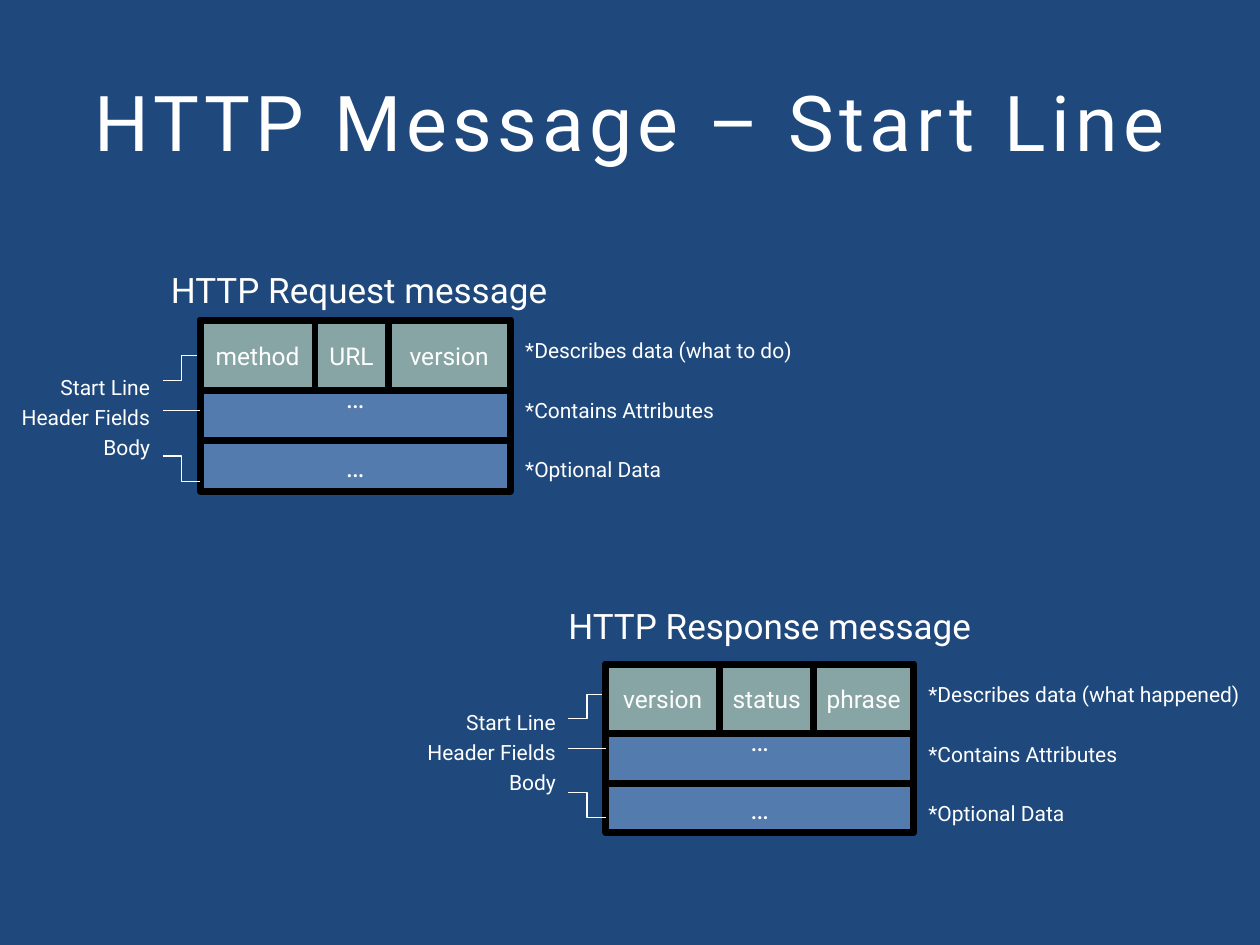
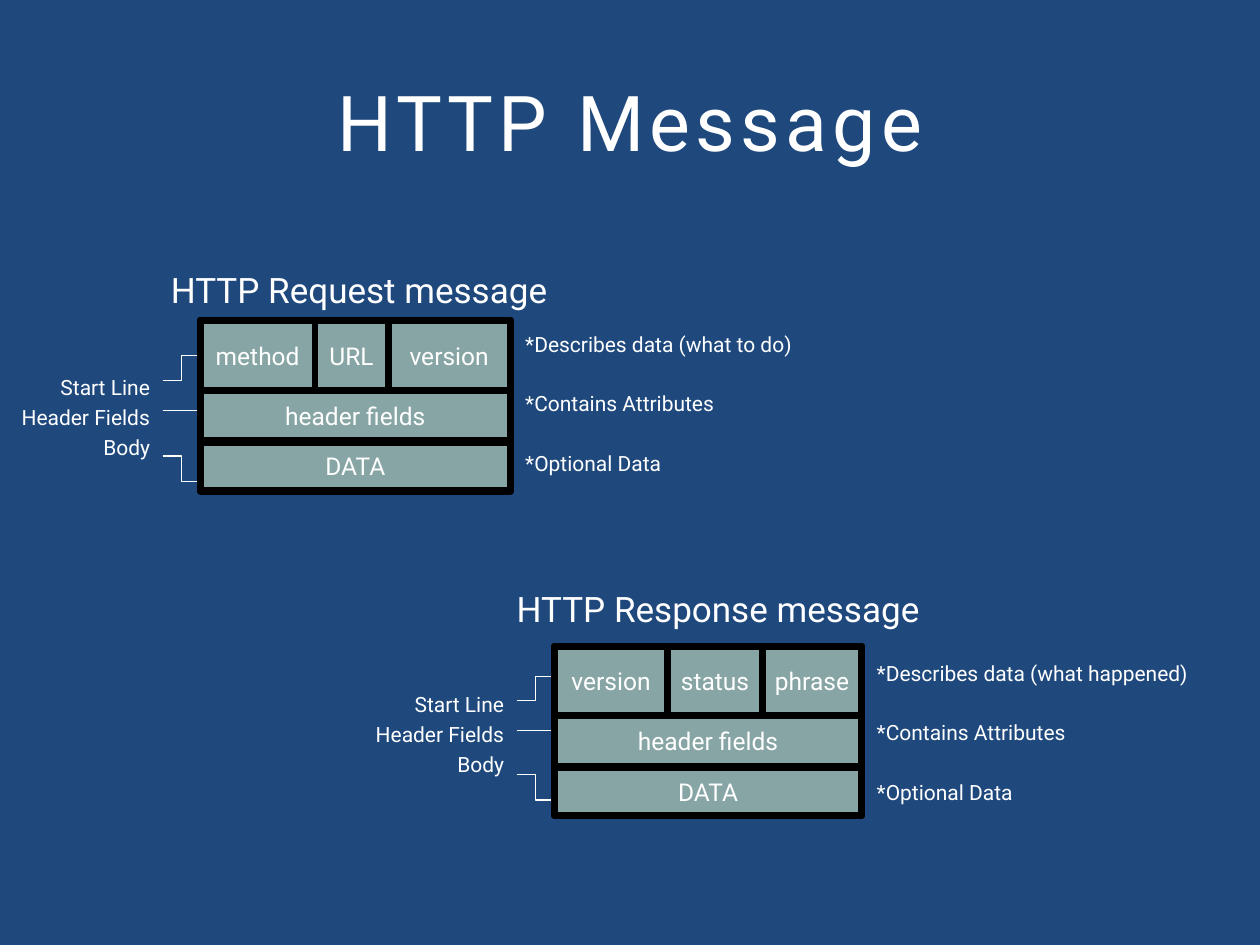
import dataclasses

import lxml.etree
import pptx
import pptx.dml.color
import pptx.enum.shapes
import pptx.enum.text
import pptx.oxml.ns
import pptx.util

Inches = pptx.util.Inches
Pt = pptx.util.Pt
RGBColor = pptx.dml.color.RGBColor
ALIGN = pptx.enum.text.PP_ALIGN
ANCHOR = pptx.enum.text.MSO_ANCHOR
CONNECTOR = pptx.enum.shapes.MSO_CONNECTOR
qn = pptx.oxml.ns.qn

NAVY = RGBColor(0x1F, 0x49, 0x7D)
WHITE = RGBColor(0xFF, 0xFF, 0xFF)
BLACK = RGBColor(0x00, 0x00, 0x00)
BLUE = RGBColor(0x8E, 0xB4, 0xE3)
GREEN = RGBColor(0xC3, 0xD6, 0x9B)

PART_LABELS = ["Start Line", "Header Fields", "Body"]
LABEL_WIDTH = 1.28
LINK_LENGTH = 0.3
NOTE_WIDTH = 2.72
HEADING_WIDTH = 3.85
DOTS_DROP = 0.31


@dataclasses.dataclass
class Message:
    """Layout of one message; all offsets are inches from its top left corner."""
    heading: str
    purpose: str
    fields: list
    width: float
    start_height: float
    header_bottom: float
    body_height: float
    heading_center: float
    heading_top: float
    labels_top: float
    links: list


REQUEST = Message(
    heading="HTTP Request message",
    purpose="what to do",
    fields=[("method", 0.91), ("URL", 0.58), ("version", 0.97)],
    width=2.46, start_height=0.56, header_bottom=0.96, body_height=0.4,
    heading_center=1.26, heading_top=-0.46, labels_top=0.38,
    links=[(0.48, 0.28), (0.72, 0.72), (1.08, 1.28)],
)
RESPONSE = Message(
    heading="HTTP Response message",
    purpose="what happened",
    fields=[("version", 0.9), ("status", 0.75), ("phrase", 0.79)],
    width=2.44, start_height=0.55, header_bottom=0.95, body_height=0.39,
    heading_center=1.3, heading_top=-0.52, labels_top=0.31,
    links=[(0.43, 0.24), (0.67, 0.67), (1.02, 1.22)],
)


class Deck:
    font_name = "Roboto"

    def __init__(self):
        self.presentation = pptx.Presentation()
        self.presentation.slide_width = Inches(10)
        self.presentation.slide_height = Inches(7.5)
        backdrop = self.presentation.slide_master.background.fill
        backdrop.solid()
        backdrop.fore_color.rgb = NAVY
        self.slide = None

    def fill_frame(self, frame, lines, size, align, gap=0):
        frame.word_wrap = True
        frame.auto_size = pptx.enum.text.MSO_AUTO_SIZE.NONE
        for index, line in enumerate(lines):
            paragraph = frame.add_paragraph() if index else frame.paragraphs[0]
            paragraph.text = line
            paragraph.alignment = align
            if index:
                paragraph.space_before = Pt(gap)
            paragraph.font.name = self.font_name
            paragraph.font.size = Pt(size)
            paragraph.font.color.rgb = WHITE

    def new_slide(self, title):
        self.slide = self.presentation.slides.add_slide(
            self.presentation.slide_layouts[5])
        holder = self.slide.shapes.title
        holder.left, holder.top = Inches(0), Inches(0.33)
        holder.width, holder.height = Inches(10), Inches(1.25)
        frame = holder.text_frame
        frame.vertical_anchor = ANCHOR.MIDDLE
        self.fill_frame(frame, [title], 44, ALIGN.CENTER)
        for run in frame.paragraphs[0].runs:
            run._r.get_or_add_rPr().set("spc", "300")

    def text(self, left, top, width, height, lines, size, align, gap=0):
        box = self.slide.shapes.add_textbox(
            Inches(left), Inches(top), Inches(width), Inches(height))
        self.fill_frame(box.text_frame, lines, size, align, gap)

    def cell(self, left, top, width, height, color, text="", size=14, drop=0.05):
        """Draw a translucent framed box; drop is the inset above its text."""
        box = self.slide.shapes.add_shape(
            pptx.enum.shapes.MSO_SHAPE.ROUNDED_RECTANGLE,
            Inches(left), Inches(top), Inches(width), Inches(height))
        box.adjustments[0] = 0
        box.shadow.inherit = False
        box.fill.solid()
        box.fill.fore_color.rgb = color
        tint = box._element.spPr.find(qn("a:solidFill"))[0]
        lxml.etree.SubElement(tint, qn("a:alpha")).set("val", "47000")
        box.line.color.rgb = BLACK
        box.line.width = Pt(4)
        if text:
            frame = box.text_frame
            frame.margin_left = frame.margin_right = Inches(0)
            frame.margin_top = Inches(drop)
            frame.vertical_anchor = ANCHOR.MIDDLE
            self.fill_frame(frame, [text], size, ALIGN.CENTER)

    def link(self, left, start, right, end):
        kind = CONNECTOR.STRAIGHT if start == end else CONNECTOR.ELBOW
        line = self.slide.shapes.add_connector(
            kind, Inches(left), Inches(start), Inches(right), Inches(end))
        line.line.color.rgb = WHITE
        line.line.width = Pt(0.75)
        lxml.etree.SubElement(line._element.spPr, qn("a:effectLst"))

    def message(self, msg, left, top, notes_top, named_rows):
        """Draw a message with labels and notes; named_rows names header and body."""
        self.text(left + msg.heading_center - HEADING_WIDTH / 2,
                  top + msg.heading_top, HEADING_WIDTH, 0.84,
                  [msg.heading], 20, ALIGN.CENTER)

        dots = "" if named_rows else "…"
        body_top = top + msg.header_bottom
        self.cell(left, top, msg.width, msg.header_bottom, BLUE, dots, 16, DOTS_DROP)
        self.cell(left, body_top, msg.width, msg.body_height, BLUE, dots, 16)

        link_left = left - LINK_LENGTH
        self.text(link_left - LABEL_WIDTH, top + msg.labels_top, LABEL_WIDTH, 1.47,
                  PART_LABELS, 12, ALIGN.RIGHT, gap=2.8)
        for start, end in msg.links:
            self.link(link_left, top + start, left, top + end)

        field_left = left
        for name, width in msg.fields:
            self.cell(field_left, top, width, msg.start_height, GREEN, name)
            field_left += width
        if named_rows:
            self.cell(left, top + msg.start_height, msg.width,
                      msg.header_bottom - msg.start_height, GREEN, "header fields")
            self.cell(left, body_top + 0.01, msg.width, 0.38, GREEN, "DATA")

        notes = [f"*Describes data ({msg.purpose})", "*Contains Attributes",
                 "*Optional Data"]
        self.text(left + msg.width + 0.02, top + notes_top, NOTE_WIDTH, 1.47,
                  notes, 12, ALIGN.LEFT, gap=19.7)


def main():
    deck = Deck()

    deck.new_slide("HTTP Message – Start Line")
    deck.message(REQUEST, 1.59, 2.54, notes_top=0.09, named_rows=False)
    deck.message(RESPONSE, 4.81, 5.27, notes_top=0.09, named_rows=False)

    deck.new_slide("HTTP Message")
    deck.message(REQUEST, 1.59, 2.54, notes_top=0.04, named_rows=True)
    deck.message(RESPONSE, 4.4, 5.13, notes_top=0.06, named_rows=True)

    deck.presentation.save("out.pptx")


if __name__ == "__main__":
    main()
